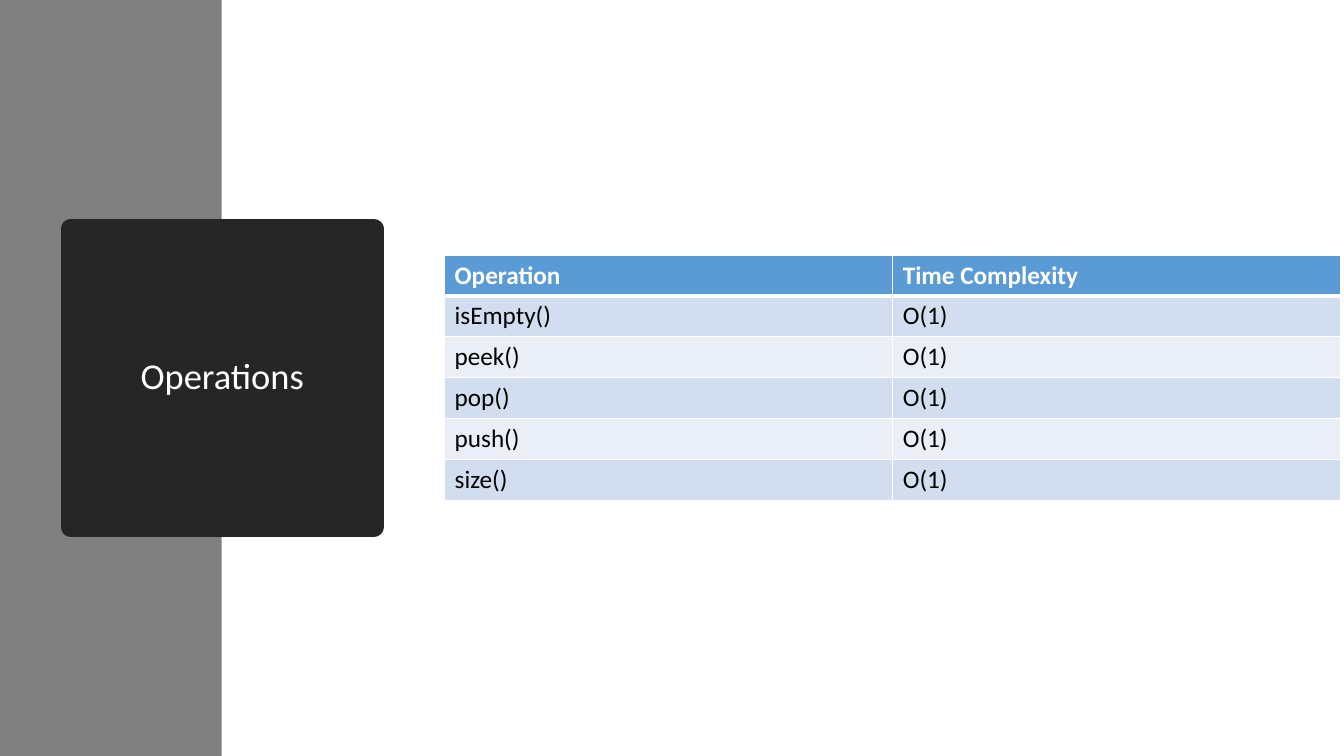
import pptx
import pptx.util
import pptx.dml.color
import pptx.enum.shapes
import pptx.enum.text
import pptx.oxml.ns
import lxml.etree

Inches = pptx.util.Inches
Pt = pptx.util.Pt
WHITE, BLACK, GREY, DARK = "FFFFFF", "000000", "808080", "262626"
HEADER, BANDS = "5B9BD5", ("D2DEEF", "EAEFF7")
ROWS = [("Operation", "Time Complexity")] + [
    (name, "O(1)") for name in ("isEmpty()", "peek()", "pop()", "push()", "size()")]


def rgb(value):
    return pptx.dml.color.RGBColor.from_string(value)


def add_node(parent, tag, **attrs):
    return lxml.etree.SubElement(parent, pptx.oxml.ns.qn(tag), attrs)


def format_text(p, size, color, bold=False):
    for r in p.runs:
        r.font.name = "Calibri"
        r.font.size = Pt(size)
        r.font.bold = bold
        r.font.color.rgb = rgb(color)


def add_rect(s, box, color):
    sp = s.shapes.add_shape(pptx.enum.shapes.MSO_SHAPE.RECTANGLE,
                            *[Inches(v) for v in box])
    sp.shadow.inherit = False
    sp.fill.solid()
    sp.fill.fore_color.rgb = rgb(color)
    sp.line.fill.background()
    return sp


def add_side_band(s, box):
    add_rect(s, box, GREY)


def add_title(s, box):
    sp = add_rect(s, box, DARK)
    sp.line.color.rgb = rgb(DARK)
    sp.line.width = Pt(13.75)
    add_node(sp.line.fill._xPr, "a:round")
    tf = sp.text_frame
    tf.word_wrap = True
    tf.vertical_anchor = pptx.enum.text.MSO_ANCHOR.MIDDLE
    tf.text = "Operations"
    p = tf.paragraphs[0]
    p.alignment = pptx.enum.text.PP_ALIGN.CENTER
    p.line_spacing = 0.9
    format_text(p, 26, WHITE)


def set_borders(cell, bottom, top):
    tcPr = cell._tc.get_or_add_tcPr()
    for side, width in (("L", 1), ("R", 1), ("T", top), ("B", bottom)):
        ln = add_node(tcPr, "a:ln" + side, w=str(Pt(width)))
        add_node(add_node(ln, "a:solidFill"), "a:srgbClr", val=WHITE)


def add_operations_table(s, box):
    table = s.shapes.add_table(len(ROWS), len(ROWS[0]),
                               *[Inches(v) for v in box]).table
    for i, row in enumerate(ROWS):
        for j, text in enumerate(row):
            cell = table.cell(i, j)
            set_borders(cell, bottom=3 if i == 0 else 1, top=3 if i == 1 else 1)
            cell.fill.solid()
            cell.fill.fore_color.rgb = rgb(BANDS[(i - 1) % 2] if i else HEADER)
            cell.text_frame.text = text
            format_text(cell.text_frame.paragraphs[0], 18,
                        BLACK if i else WHITE, bold=i == 0)


prs = pptx.Presentation()
prs.slide_width, prs.slide_height = Inches(13.33), Inches(7.5)
s = prs.slides.add_slide(prs.slide_layouts[6])
add_side_band(s, (0, 0, 2.2, 7.5))
add_title(s, (0.7, 2.27, 3.01, 2.96))
add_operations_table(s, (4.41, 2.53, 8.89, 2.43))
prs.save("out.pptx")
